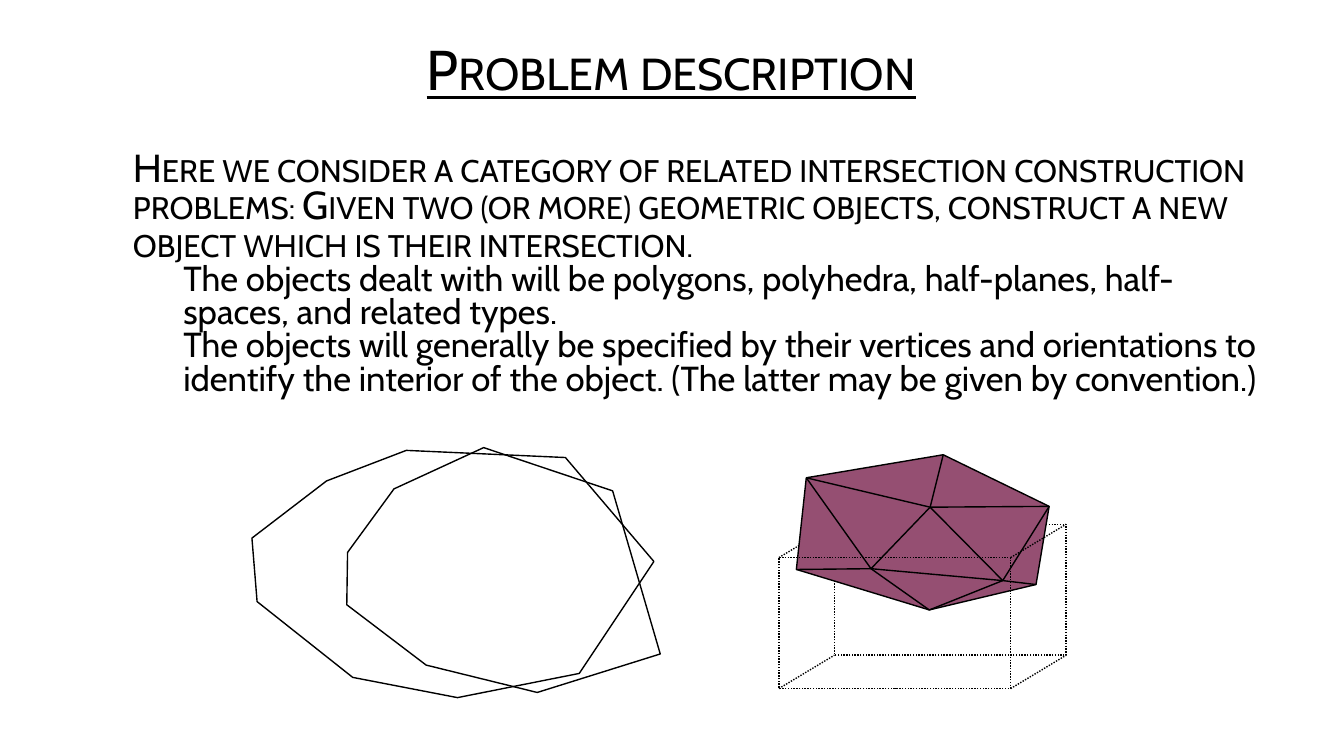
from dataclasses import dataclass

from lxml import etree
from pptx import Presentation
from pptx import util as u
from pptx.dml.color import RGBColor
from pptx.enum import dml, shapes, text
from pptx.oxml.ns import qn


@dataclass(frozen=True)
class Theme:
    font: str = "Cabin"
    ink: RGBColor = RGBColor(0x00, 0x00, 0x00)
    solid: RGBColor = RGBColor(0x95, 0x4F, 0x72)
    title_size: float = 40
    statement_size: float = 27.9
    detail_size: float = 24.8
    line_width: float = 1


THEME = Theme()

STATEMENT = (
    "Here we consider a category of related intersection construction problems: "
    "Given two (or more) geometric objects, construct a new object which is their intersection."
)
DETAILS = (
    "The objects dealt with will be polygons, polyhedra, half-planes, half-spaces, and related types.",
    "The objects will generally be specified by their vertices and orientations to identify "
    "the interior of the object. (The latter may be given by convention.)",
)

# Geometry in centimetres
LEFT_POLYGON = [
    (10.24, 11.35), (8.23, 12.12), (6.35, 13.56), (6.48, 15.16), (8.89, 17.07),
    (11.53, 17.58), (14.6, 16.97), (16.48, 14.15), (14.25, 11.53),
]
RIGHT_POLYGON = [
    (9.93, 12.32), (8.76, 13.92), (8.74, 15.24), (10.74, 16.76),
    (13.54, 17.45), (16.64, 16.48), (15.44, 12.37), (12.19, 11.28),
]
# Polyhedron: A to F run round the outline, G to I lie inside it
VERTICES = {
    "A": (20.32, 12.04), "B": (23.77, 11.46), "C": (26.44, 12.76),
    "D": (26.11, 14.73), "E": (23.42, 15.37), "F": (20.07, 14.35),
    "G": (23.44, 12.78), "H": (21.95, 14.33), "I": (25.27, 14.63),
}
OUTLINE = "ABCDEF"
INNER_EDGES = "AG BG GC CI ID IE GI HI HE HF HA HG".split()
# Box: front face and the shift to its back face
BOX_LEFT, BOX_TOP, BOX_WIDTH, BOX_HEIGHT = 19.63, 14.05, 5.84, 3.3
DEPTH_X, DEPTH_Y = 1.4, -0.84


def style_line(line, dotted=False):
    line.color.rgb = THEME.ink
    line.width = u.Pt(THEME.line_width)
    if dotted:
        line.dash_style = dml.MSO_LINE.ROUND_DOT


def format_paragraph(paragraph, size, spacing, small_caps=False, indent=0):
    font = paragraph.font
    font.name = THEME.font
    font.size = u.Pt(size)
    font.color.rgb = THEME.ink
    paragraph.line_spacing = spacing
    properties = paragraph._p.get_or_add_pPr()
    properties.set("marL", str(u.Cm(indent)))
    properties.set("indent", "0")
    if small_caps:
        properties.find(qn("a:defRPr")).set("cap", "small")


def add_title(slide):
    title = slide.shapes.title
    title.left, title.top = u.Cm(4.42), u.Cm(0.74)
    title.width, title.height = u.Cm(24.99), u.Cm(2.16)
    frame = title.text_frame
    frame.text = "Problem description"
    frame.vertical_anchor = text.MSO_ANCHOR.MIDDLE
    paragraph = frame.paragraphs[0]
    format_paragraph(paragraph, THEME.title_size, 0.9, small_caps=True)
    paragraph.alignment = text.PP_ALIGN.CENTER
    paragraph.space_before = u.Pt(10)
    paragraph.font.underline = True


def add_description(slide):
    box = slide.shapes.add_textbox(u.Cm(1.83), u.Cm(3.35), u.Cm(30.2), u.Cm(7.16))
    frame = box.text_frame
    frame.word_wrap = True
    frame.vertical_anchor = text.MSO_ANCHOR.MIDDLE
    frame.text = STATEMENT
    format_paragraph(frame.paragraphs[0], THEME.statement_size, 0.8, small_caps=True, indent=1.27)
    for detail in DETAILS:
        paragraph = frame.add_paragraph()
        paragraph.text = detail
        format_paragraph(paragraph, THEME.detail_size, 0.8, indent=2.54)


def add_polygon(group, points, fill=None):
    corners = [(u.Cm(x), u.Cm(y)) for x, y in points]
    builder = group.shapes.build_freeform(*corners[0], scale=1.0)
    builder.add_line_segments(corners[1:], close=True)
    shape = builder.convert_to_shape()
    shape.shadow.inherit = False
    if fill is None:
        shape.fill.background()
    else:
        shape.fill.solid()
        shape.fill.fore_color.rgb = fill
    style_line(shape.line)


def add_edge(group, start, end, dotted=False):
    edge = group.shapes.add_connector(
        shapes.MSO_CONNECTOR.STRAIGHT, *(u.Cm(value) for value in (*start, *end))
    )
    style_line(edge.line, dotted)
    etree.SubElement(edge._element.spPr, qn("a:effectLst"))


def add_box_face(group, left, top):
    face = group.shapes.add_shape(
        shapes.MSO_SHAPE.RECTANGLE, u.Cm(left), u.Cm(top), u.Cm(BOX_WIDTH), u.Cm(BOX_HEIGHT)
    )
    face.shadow.inherit = False
    face.fill.background()
    style_line(face.line, dotted=True)


def add_depth_edge(group, x, y):
    add_edge(group, (x, y), (x + DEPTH_X, y + DEPTH_Y), dotted=True)


def add_solids(slide):
    group = slide.shapes.add_group_shape()
    right, bottom = BOX_LEFT + BOX_WIDTH, BOX_TOP + BOX_HEIGHT
    # Box parts behind the polyhedron
    add_box_face(group, BOX_LEFT + DEPTH_X, BOX_TOP + DEPTH_Y)
    for x, y in ((BOX_LEFT, BOX_TOP), (BOX_LEFT, bottom), (right, bottom)):
        add_depth_edge(group, x, y)
    # Polyhedron
    add_polygon(group, [VERTICES[name] for name in OUTLINE], THEME.solid)
    for start, end in INNER_EDGES:
        add_edge(group, VERTICES[start], VERTICES[end])
    # Box parts in front of it
    add_box_face(group, BOX_LEFT, BOX_TOP)
    add_depth_edge(group, right, BOX_TOP)


def add_polygons(slide):
    group = slide.shapes.add_group_shape()
    for points in (LEFT_POLYGON, RIGHT_POLYGON):
        add_polygon(group, points)


def main():
    presentation = Presentation()
    presentation.slide_width, presentation.slide_height = u.Cm(33.87), u.Cm(19.05)
    slide = presentation.slides.add_slide(presentation.slide_layouts[5])
    add_title(slide)
    add_description(slide)
    add_solids(slide)
    add_polygons(slide)
    presentation.save("out.pptx")


if __name__ == "__main__":
    main()
